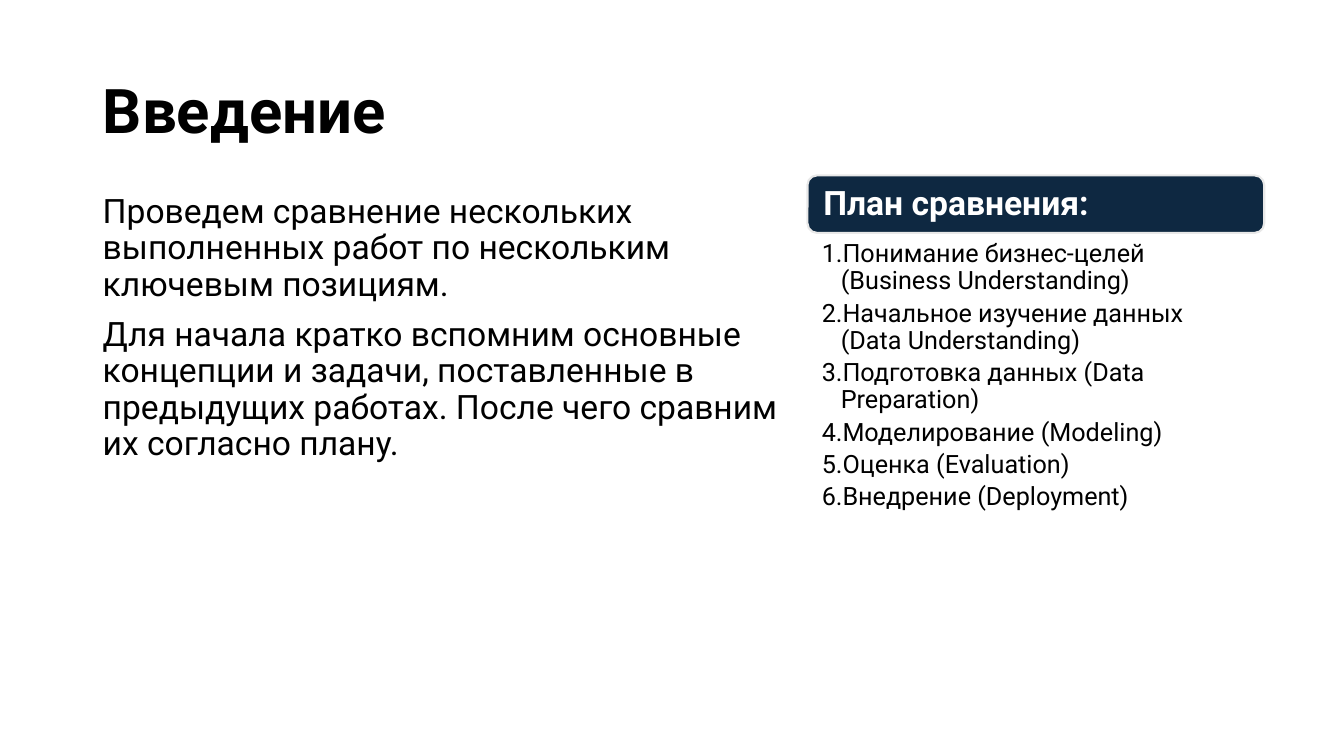
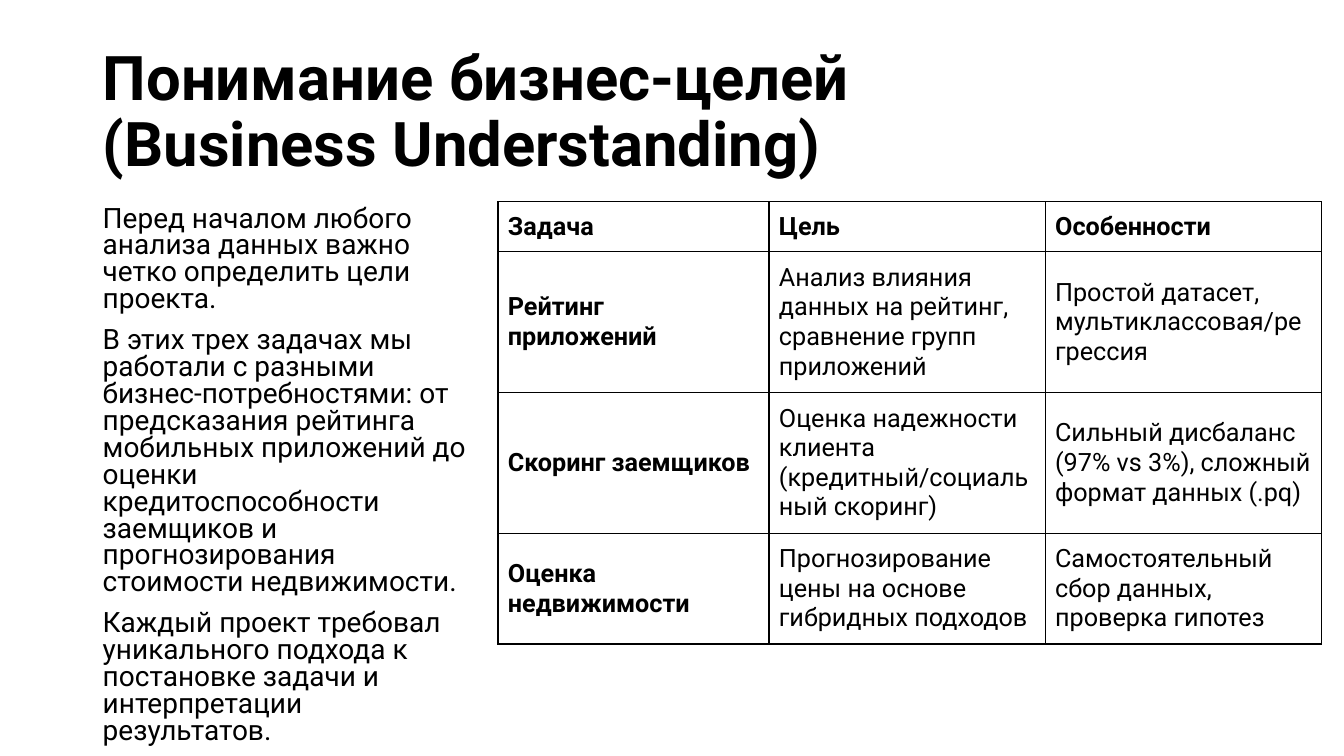
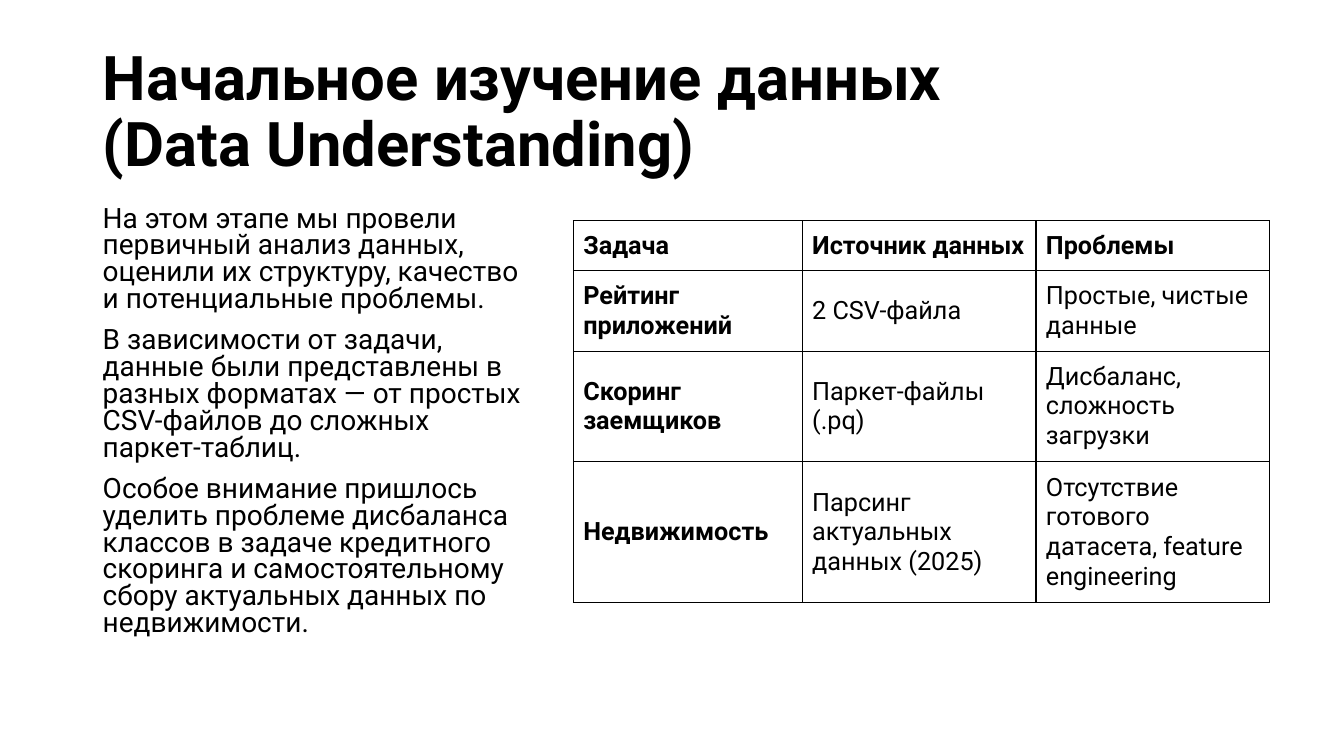
from dataclasses import dataclass

from lxml import etree
from pptx import Presentation
from pptx import util as u
from pptx.dml.color import RGBColor
from pptx.enum import shapes, text
from pptx.oxml import ns

BLACK = RGBColor(0x00, 0x00, 0x00)
WHITE = RGBColor(0xFF, 0xFF, 0xFF)
NAVY = RGBColor(0x0E, 0x28, 0x41)
GREY = RGBColor(0xE8, 0xE8, 0xE8)
FONT = "Roboto"
LEFT = 2.34
PAD = 0.25


@dataclass(frozen=True)
class Box:
    """Place and size in centimetres."""
    x: float
    y: float
    w: float
    h: float


@dataclass(frozen=True)
class Style:
    size: float
    color: RGBColor = BLACK
    bold: bool = False
    line: float = 1.0
    before: float = 0
    after: float = 0


@dataclass(frozen=True)
class Grid:
    """A table; lines holds the number of text lines in each row."""
    x: float
    y: float
    cols: tuple[float, ...]
    lines: tuple[int, ...]
    rows: tuple[tuple[str, ...], ...]


@dataclass(frozen=True)
class Topic:
    title: str
    body: tuple[str, ...]
    width: float
    grid: Grid


TITLE = Style(44, bold=True, line=0.9)
INTRO = Style(24, line=0.9, before=10)
BODY = Style(20, line=0.8, before=10)
HEAD = Style(24, WHITE, bold=True, line=0.9)
ITEM = Style(18, line=0.9, after=3.6)
CELL = Style(18)
LABEL = Style(18, bold=True)

INTRO_TEXT = (
    "Проведем сравнение нескольких выполненных работ по нескольким ключевым позициям.",
    "Для начала кратко вспомним основные концепции и задачи, поставленные в "
    "предыдущих работах. После чего сравним их согласно плану.",
)
PLAN = (
    "Понимание бизнес-целей (Business Understanding)",
    "Начальное изучение данных (Data Understanding)",
    "Подготовка данных (Data Preparation)",
    "Моделирование (Modeling)",
    "Оценка (Evaluation)",
    "Внедрение (Deployment)",
)
TOPICS = (
    Topic(
        "Понимание бизнес-целей\v(Business Understanding)",
        (
            "Перед началом любого анализа данных важно четко определить цели проекта.",
            "В этих трех задачах мы работали с разными бизнес-потребностями: от "
            "предсказания рейтинга мобильных приложений до оценки кредитоспособности "
            "заемщиков и прогнозирования стоимости недвижимости.",
            "Каждый проект требовал уникального подхода к постановке задачи и "
            "интерпретации результатов.",
        ),
        9.83,
        Grid(12.55, 5.08, (6.83, 6.96, 6.96), (1, 4, 4, 3), (
            ("Задача", "Цель", "Особенности"),
            ("Рейтинг приложений",
             "Анализ влияния данных на рейтинг, сравнение групп приложений",
             "Простой датасет, мультиклассовая/регрессия"),
            ("Скоринг заемщиков",
             "Оценка надежности клиента (кредитный/социальный скоринг)",
             "Сильный дисбаланс (97% vs 3%), сложный формат данных (.pq)"),
            ("Оценка недвижимости",
             "Прогнозирование цены на основе гибридных подходов",
             "Самостоятельный сбор данных, проверка гипотез"),
        )),
    ),
    Topic(
        "Начальное изучение данных\v(Data Understanding)",
        (
            "На этом этапе мы провели первичный анализ данных, оценили их структуру, "
            "качество и потенциальные проблемы.",
            "В зависимости от задачи, данные были представлены в разных форматах — от "
            "простых CSV-файлов до сложных паркет-таблиц.",
            "Особое внимание пришлось уделить проблеме дисбаланса классов в задаче "
            "кредитного скоринга и самостоятельному сбору актуальных данных по "
            "недвижимости.",
        ),
        11.2,
        Grid(14.45, 5.56, (5.77, 5.89, 5.89), (1, 2, 3, 4), (
            ("Задача", "Источник данных", "Проблемы"),
            ("Рейтинг приложений", "2 CSV-файла", "Простые, чистые данные"),
            ("Скоринг заемщиков", "Паркет-файлы (.pq)",
             "Дисбаланс, сложность загрузки"),
            ("Недвижимость", "Парсинг актуальных данных (2025)",
             "Отсутствие готового датасета, feature engineering"),
        )),
    ),
)


def place(box: Box) -> tuple[u.Length, ...]:
    return u.Cm(box.x), u.Cm(box.y), u.Cm(box.w), u.Cm(box.h)


def write(frame, lines: tuple[str, ...], style: Style) -> None:
    """Fill a text frame, one paragraph a line, and format it."""
    frame.word_wrap = True
    frame.text = "\n".join(lines)
    for para in frame.paragraphs:
        para.alignment = text.PP_ALIGN.LEFT
        para.line_spacing = style.line
        para.space_before = u.Pt(style.before)
        para.space_after = u.Pt(style.after)
        for run in para.runs:
            run.font.name = FONT
            run.font.size = u.Pt(style.size)
            run.font.bold = style.bold
            run.font.color.rgb = style.color


def add_text(slide, box: Box, lines: tuple[str, ...], style: Style):
    frame = slide.shapes.add_textbox(*place(box)).text_frame
    write(frame, lines, style)
    return frame


def add_page(deck, title: str):
    """Add a blank slide with the shared title."""
    slide = deck.slides.add_slide(deck.slide_layouts[6])
    frame = add_text(slide, Box(LEFT, 1.02, 29.21, 3.68), (title,), TITLE)
    frame.vertical_anchor = text.MSO_ANCHOR.MIDDLE
    return slide


def number(para) -> None:
    """Turn a paragraph into a numbered item with a hanging indent."""
    props = para._p.get_or_add_pPr()
    hang = u.Cm(0.48)
    props.set("marL", str(hang))
    props.set("indent", str(-hang))
    mark = etree.SubElement(props, ns.qn("a:buAutoNum"))
    mark.set("type", "arabicPeriod")


def add_plan(slide) -> None:
    head = slide.shapes.add_shape(
        shapes.MSO_SHAPE.ROUNDED_RECTANGLE, *place(Box(20.35, 4.42, 11.51, 1.45)))
    head.shadow.inherit = False
    head.fill.solid()
    head.fill.fore_color.rgb = NAVY
    head.line.color.rgb = GREY
    head.line.width = u.Pt(1.5)
    head.text_frame.margin_left = u.Cm(0.33)
    head.text_frame.vertical_anchor = text.MSO_ANCHOR.MIDDLE
    write(head.text_frame, ("План сравнения:",), HEAD)

    frame = add_text(slide, Box(20.35, 5.99, 11.51, 7.37), PLAN, ITEM)
    frame.margin_left = frame.margin_right = u.Cm(0.36)
    frame.margin_top = frame.margin_bottom = u.Cm(0.08)
    for para in frame.paragraphs:
        number(para)


def frame_cell(cell) -> None:
    """Draw a thin black border on all four sides."""
    props = cell._tc.get_or_add_tcPr()
    for side in "LRTB":
        line = etree.SubElement(props, ns.qn(f"a:ln{side}"), w=str(u.Pt(1)))
        fill = etree.SubElement(line, ns.qn("a:solidFill"))
        etree.SubElement(fill, ns.qn("a:srgbClr"), val=str(BLACK))


def add_grid(slide, grid: Grid) -> None:
    highs = [0.5 + 0.75 * count for count in grid.lines]
    box = Box(grid.x, grid.y, sum(grid.cols), sum(highs))
    table = slide.shapes.add_table(
        len(grid.rows), len(grid.cols), *place(box)).table
    table.first_row = table.horz_banding = False
    for col, width in zip(table.columns, grid.cols):
        col.width = u.Cm(width)
    for r, (row, high) in enumerate(zip(grid.rows, highs)):
        table.rows[r].height = u.Cm(high)
        for c, words in enumerate(row):
            cell = table.cell(r, c)
            cell.margin_left = cell.margin_right = u.Cm(PAD)
            cell.margin_top = cell.margin_bottom = u.Cm(PAD)
            cell.vertical_anchor = text.MSO_ANCHOR.MIDDLE
            frame_cell(cell)
            cell.fill.background()
            write(cell.text_frame, (words,), LABEL if 0 in (r, c) else CELL)


def main() -> None:
    deck = Presentation()
    deck.slide_width = u.Cm(33.87)
    deck.slide_height = u.Cm(19.05)

    intro = add_page(deck, "Введение")
    add_text(intro, Box(LEFT, 4.78, 17.53, 10.62), INTRO_TEXT, INTRO)
    add_plan(intro)

    for topic in TOPICS:
        slide = add_page(deck, topic.title)
        add_text(slide, Box(LEFT, 5.08, topic.width, 12.09), topic.body, BODY)
        add_grid(slide, topic.grid)

    deck.save("out.pptx")


if __name__ == "__main__":
    main()
